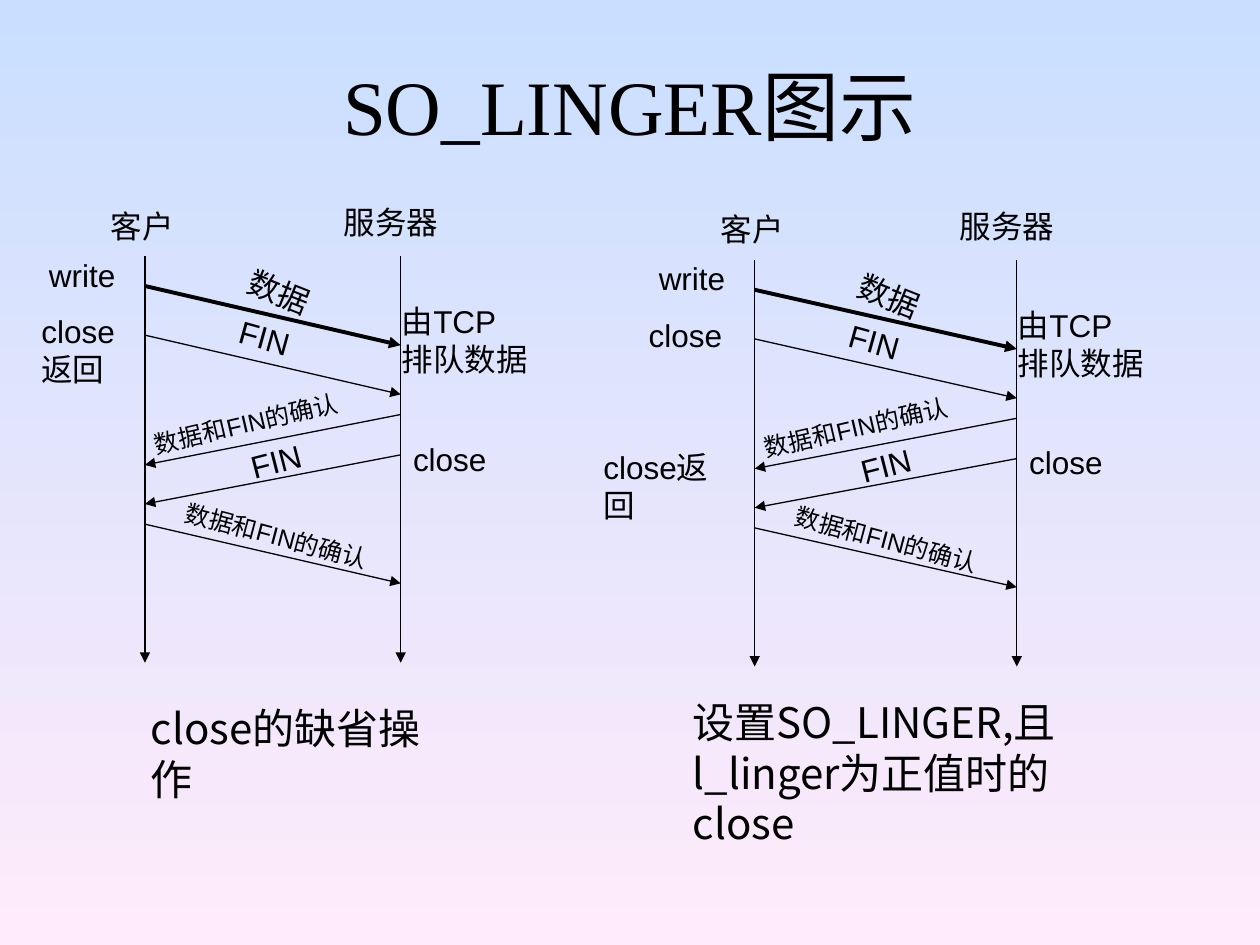
import pptx
import pptx.util
import pptx.dml.color
import pptx.enum.shapes
import pptx.enum.text
import pptx.oxml.ns
import lxml.etree

deck = pptx.Presentation()
deck.slide_width = pptx.util.Inches(10)
deck.slide_height = pptx.util.Inches(7.5)
col = deck.slide_width / 100
row = deck.slide_height / 75
slide = deck.slides.add_slide(deck.slide_layouts[5])
qn = pptx.oxml.ns.qn
hue = pptx.dml.color.RGBColor.from_string
fit = pptx.enum.text.MSO_AUTO_SIZE.SHAPE_TO_FIT_TEXT
straight = pptx.enum.shapes.MSO_CONNECTOR.STRAIGHT


def write(box, text, size, font):
    box.text_frame.text = text
    for para in box.text_frame.paragraphs:
        for run in para.runs:
            run.font.size = pptx.util.Pt(size)
            run.font.name = font
            run.font.color.rgb = hue("000000")
            east = lxml.etree.SubElement(run.font._element, qn("a:ea"))
            east.set("typeface", "Noto Sans CJK JP")


def label(group, text, x, y, wide, high, size=18, turn=0, wrap=False, font="Arial"):
    box = group.shapes.add_textbox(int(x * col), int(y * row), int(wide * col), int(high * row))
    box.text_frame.word_wrap = wrap
    box.text_frame.auto_size = fit
    write(box, text, size, font)
    box.rotation = turn


fill = slide.background.fill
fill.gradient()
fill.gradient_angle = 270
for stop, shade, spot in zip(fill.gradient_stops, ["C9DFFF", "FFEBFA"], [0, 1]):
    stop.color.rgb = hue(shade)
    stop.position = spot

title = slide.shapes.title
title.left, title.top = int(7.5 * col), int(2.1 * row)
title.width, title.height = int(85 * col), int(12.5 * row)
title.text_frame.vertical_anchor = pptx.enum.text.MSO_ANCHOR.MIDDLE
write(title, "SO_LINGER图示", 44, "Times New Roman")
title.text_frame.paragraphs[0].alignment = pptx.enum.text.PP_ALIGN.CENTER

lines = [
    (0, 0, 0, 32.3, 0.75),
    (1, 0, 1, 32.3, 0.75),
    (0, 2.4, 1, 7.1, 2.25),
    (0, 6.3, 1, 11, 0.75),
    (0, 21.3, 1, 26, 0.75),
    (1, 12.6, 0, 16.6, 0.75),
    (1, 15.8, 0, 19.7, 0.75),
]
labels = [
    ("客户", 0, -3.7, -4.4, 7.1, 4, 18, 0),
    ("服务器", 1, -5.5, -4.7, 9.6, 4, 18, 0),
    ("write", 0, -8.6, -0.5, 7.5, 4, 18, 0),
    ("数据", 0, 7.2, 0.9, 7.1, 4, 18, 21.7),
    ("FIN", 0, 6.5, 4.5, 6.1, 4, 18, 15.5),
    ("数据和FIN的确认", 0, -0.4, 11.5, 18, 3.4, 14, 346.9),
    ("FIN", 0, 7.4, 14.3, 6.1, 4, 18, 345.6),
    ("数据和FIN的确认", 0, 2, 20.7, 18, 3.4, 14, 14.8),
    ("由TCP\n排队数据", 1, -0.9, 3.2, 12.2, 7, 18, 0),
    ("close", 1, 0, 14.1, 8, 4, 18, 0),
]

groups = []
for left, span, top in [(11.5, 20.3, 20.3), (59.9, 20.8, 20.6)]:
    group = slide.shapes.add_group_shape()
    groups.append(group)
    for side, y, goal, end, weight in lines:
        line = group.shapes.add_connector(
            straight,
            int((left + side * span) * col), int((top + y) * row),
            int((left + goal * span) * col), int((top + end) * row))
        line.line.color.rgb = hue("000000")
        line.line.width = pptx.util.Pt(weight)
        tip = lxml.etree.SubElement(line.line._get_or_add_ln(), qn("a:tailEnd"))
        tip.set("type", "triangle")
        lxml.etree.SubElement(line._element.spPr, qn("a:effectLst"))
    for text, side, shift, y, wide, high, size, turn in labels:
        label(group, text, left + side * span + shift, top + y, wide, high, size, turn)

plain, linger = groups
noto = "Noto Sans CJK JP"
label(plain, "close\n返回", 2.3, 24.3, 8, 7)
label(plain, "close的缺省操作", 11, 55.3, 25, 9, 24, wrap=True, font=noto)
label(linger, "close", 50.5, 24.6, 8, 4)
label(linger, "close返回", 46.9, 35.1, 11.6, 7, wrap=True)
label(linger, "设置SO_LINGER,且l_linger为正值时的close", 54, 54.8, 36.2, 13, 24, wrap=True, font=noto)

deck.save("out.pptx")
